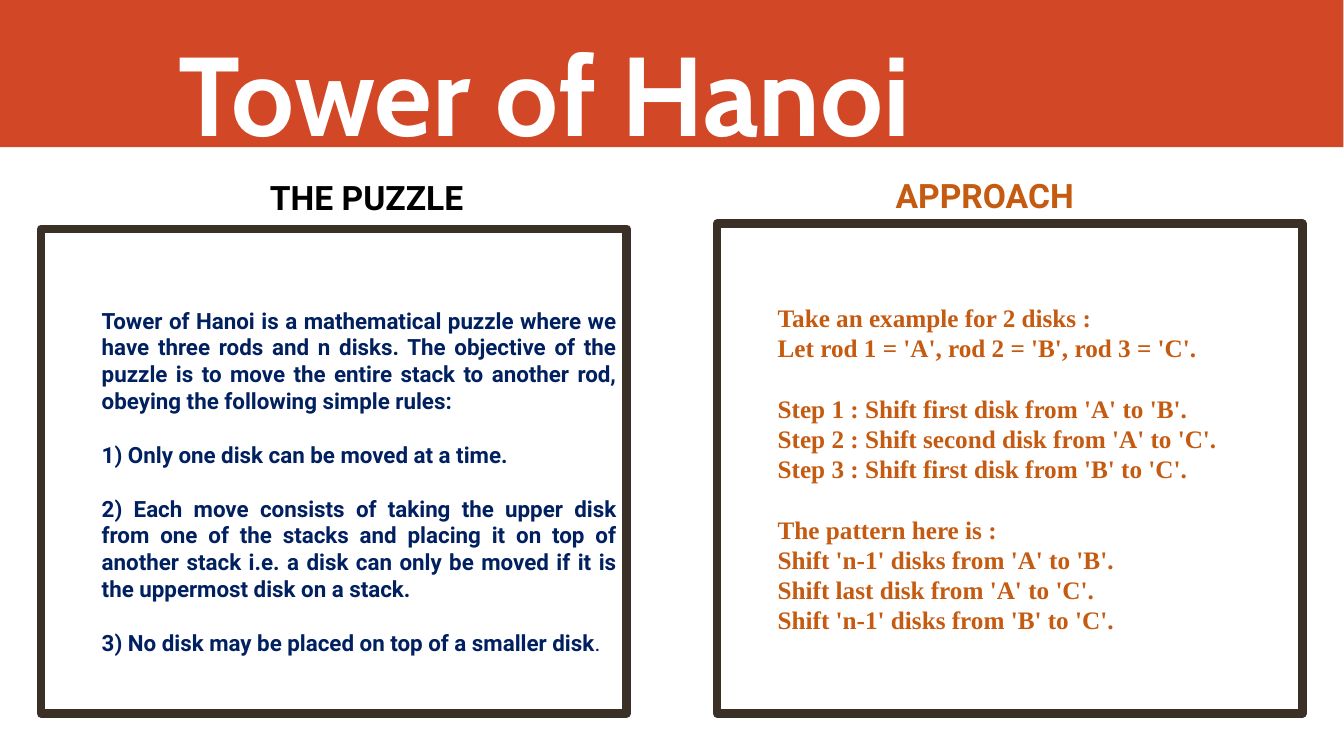
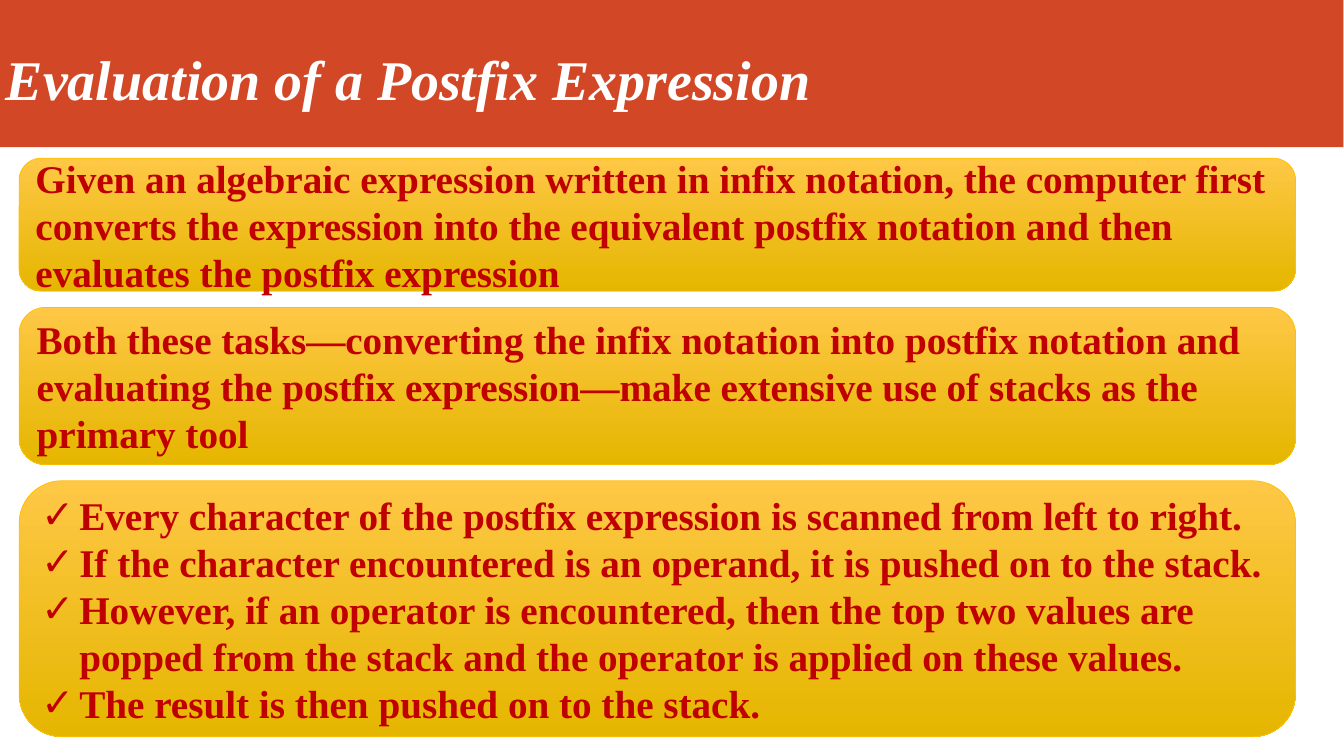
from dataclasses import dataclass

import pptx
import pptx.dml.color
import pptx.enum.shapes
import pptx.enum.text
import pptx.oxml.ns
import pptx.util
from lxml import etree

Pt = pptx.util.Pt
Align = pptx.enum.text.PP_ALIGN
Anchor = pptx.enum.text.MSO_ANCHOR
Shape = pptx.enum.shapes.MSO_SHAPE


@dataclass(frozen=True)
class Theme:
    band: str = "D24726"
    white: str = "FFFFFF"
    black: str = "000000"
    frame: str = "3B3026"
    navy: str = "002060"
    orange: str = "C55A11"
    red: str = "C00000"
    gold: str = "FFC000"
    gold_top: str = "FFC746"
    gold_bottom: str = "E5B600"
    title_large: int = 80
    title_small: int = 40
    heading: int = 24
    rules: int = 16
    steps: int = 18
    card: int = 28
    leading: float = 1.2
    sans: str = "Roboto"
    serif: str = "Times New Roman"
    display: str = "Cabin"


THEME = Theme()


@dataclass(frozen=True)
class Area:
    left: float
    top: float
    width: float
    height: float

    def lengths(self) -> tuple:
        return Pt(self.left), Pt(self.top), Pt(self.width), Pt(self.height)


@dataclass(frozen=True)
class Style:
    font: str
    size: int
    color: str
    italic: bool = False
    align: Align = Align.LEFT
    bullet: str = ""


@dataclass(frozen=True)
class Line:
    text: str
    gap: bool = False      # one line of space before
    plain_end: str = ""    # closing text that is not bold


@dataclass(frozen=True)
class Panel:
    heading: str
    heading_area: Area
    heading_color: str
    area: Area
    inset_top: float
    style: Style
    lines: tuple


@dataclass(frozen=True)
class Card:
    top: float
    height: float
    style: Style
    lines: tuple


RULES = Style(THEME.sans, THEME.rules, THEME.navy, align=Align.JUSTIFY)
STEPS = Style(THEME.serif, THEME.steps, THEME.orange)
CARD = Style(THEME.serif, THEME.card, THEME.red)
CHECKS = Style(THEME.serif, THEME.card, THEME.red, bullet="✓")

PANELS = (
    Panel("THE PUZZLE", Area(185.8, 123.1, 154, 36), THEME.black,
          Area(29.5, 163.4, 418.3, 346.3), 18, RULES, (
              Line("Tower of Hanoi is a mathematical puzzle where we have three rods "
                   "and n disks. The objective of the puzzle is to move the entire "
                   "stack to another rod, obeying the following simple rules:"),
              Line("1) Only one disk can be moved at a time.", gap=True),
              Line("2) Each move consists of taking the upper disk from one of the "
                   "stacks and placing it on top of another stack i.e. a disk can "
                   "only be moved if it is the uppermost disk on a stack.", gap=True),
              Line("3) No disk may be placed on top of a smaller disk", gap=True,
                   plain_end="."),
          )),
    Panel("APPROACH", Area(632.9, 121.7, 146, 36), THEME.orange,
          Area(512.6, 159.8, 418.3, 349.9), 3.6, STEPS, (
              Line("Take an example for 2 disks :"),
              Line("Let rod 1 = 'A', rod 2 = 'B', rod 3 = 'C'."),
              Line("Step 1 : Shift first disk from 'A' to 'B'.", gap=True),
              Line("Step 2 : Shift second disk from 'A' to 'C'."),
              Line("Step 3 : Shift first disk from 'B' to 'C'."),
              Line("The pattern here is :", gap=True),
              Line("Shift 'n-1' disks from 'A' to 'B'."),
              Line("Shift last disk from 'A' to 'C'."),
              Line("Shift 'n-1' disks from 'B' to 'C'."),
          )),
)

CARDS = (
    Card(113, 95, CARD, (
        Line("Given an algebraic expression written in infix notation, the computer "
             "first converts the expression into the equivalent postfix notation and "
             "then evaluates the postfix expression"),)),
    Card(219.6, 112.3, CARD, (
        Line("Both these tasks—converting the infix notation into postfix notation "
             "and evaluating the postfix expression—make extensive use of stacks as "
             "the primary tool"),)),
    Card(343.4, 182.9, CHECKS, (
        Line("Every character of the postfix expression is scanned from left to right."),
        Line("If the character encountered is an operand, it is pushed on to the stack."),
        Line("However, if an operator is encountered, then the top two values are "
             "popped from the stack and the operator is applied on these values."),
        Line("The result is then pushed on to the stack."),
    )),
)


def rgb(value: str) -> pptx.dml.color.RGBColor:
    return pptx.dml.color.RGBColor.from_string(value)


def add_bullet(para, style: Style) -> None:
    """Hang the paragraph behind a coloured bullet."""
    qn = pptx.oxml.ns.qn
    properties = para._p.get_or_add_pPr()
    indent = Pt(27)
    properties.set("marL", str(indent))
    properties.set("indent", str(-indent))
    color = etree.SubElement(properties, qn("a:buClr"))
    etree.SubElement(color, qn("a:srgbClr"), val=style.color)
    etree.SubElement(properties, qn("a:buFont"), typeface="Arial")
    etree.SubElement(properties, qn("a:buChar"), char=style.bullet)


def write(box, lines: tuple, style: Style, anchor: Anchor, wrap: bool = True) -> None:
    frame = box.text_frame
    frame.word_wrap = wrap
    frame.vertical_anchor = anchor
    for number, line in enumerate(lines):
        para = frame.add_paragraph() if number else frame.paragraphs[0]
        para.alignment = style.align
        para.line_spacing = Pt(style.size * THEME.leading)
        if line.gap:
            para.space_before = Pt(style.size * THEME.leading)
        if style.bullet:
            add_bullet(para, style)
        font = para.font
        font.name, font.size, font.bold = style.font, Pt(style.size), True
        font.italic = style.italic
        font.color.rgb = rgb(style.color)
        para.add_run().text = line.text
        if line.plain_end:
            span = para.add_run()
            span.text = line.plain_end
            span.font.bold = False


def add_box(page, kind: Shape, area: Area, fill: str, line: str = "",
            weight: float = 0):
    box = page.shapes.add_shape(kind, *area.lengths())
    box.shadow.inherit = False
    box.fill.solid()
    box.fill.fore_color.rgb = rgb(fill)
    if line:
        box.line.color.rgb = rgb(line)
        box.line.width = Pt(weight)
    else:
        box.line.fill.background()
    return box


def add_text(page, area: Area, text: str, style: Style, anchor: Anchor,
             wrap: bool = True) -> None:
    box = page.shapes.add_textbox(*area.lengths())
    write(box, (Line(text),), style, anchor, wrap)


def add_page(deck, title: str, title_area: Area, style: Style):
    """Add a page with the shared band and its title."""
    page = deck.slides.add_slide(deck.slide_layouts[6])
    add_box(page, Shape.RECTANGLE, Area(0, 0, 960, 105.1), THEME.band)
    add_text(page, title_area, title, style, Anchor.BOTTOM)
    return page


def add_panel(page, panel: Panel) -> None:
    box = add_box(page, Shape.RECTANGLE, panel.area, THEME.white, THEME.frame, 6)
    box.text_frame.margin_left = Pt(43.2)
    box.text_frame.margin_top = Pt(panel.inset_top)
    write(box, panel.lines, panel.style, Anchor.MIDDLE)
    heading = Style(THEME.sans, THEME.heading, panel.heading_color)
    add_text(page, panel.heading_area, panel.heading, heading, Anchor.TOP, wrap=False)


def add_card(page, card: Card) -> None:
    area = Area(13.7, card.top, 912.2, card.height)
    box = add_box(page, Shape.ROUNDED_RECTANGLE, area, THEME.gold, THEME.gold, 0.5)
    box.fill.gradient()
    box.fill.gradient_angle = 270
    stops = box.fill.gradient_stops
    for stop, position, color in zip(stops, (0, 1), (THEME.gold_top, THEME.gold_bottom)):
        stop.position = position
        stop.color.rgb = rgb(color)
    write(box, card.lines, card.style, Anchor.MIDDLE)


def main() -> None:
    deck = pptx.Presentation()
    deck.slide_width, deck.slide_height = Pt(960.48), Pt(540)

    # Puzzle and approach side by side
    page = add_page(deck, "Tower of Hanoi", Area(120.2, 11.5, 620.6, 105.8),
                    Style(THEME.display, THEME.title_large, THEME.white))
    for panel in PANELS:
        add_panel(page, panel)

    # Postfix evaluation as stacked cards
    page = add_page(deck, "Evaluation of a Postfix Expression",
                    Area(-2.9, 13.7, 960, 69.8),
                    Style(THEME.serif, THEME.title_small, THEME.white, italic=True))
    for card in CARDS:
        add_card(page, card)

    deck.save("out.pptx")


if __name__ == "__main__":
    main()
